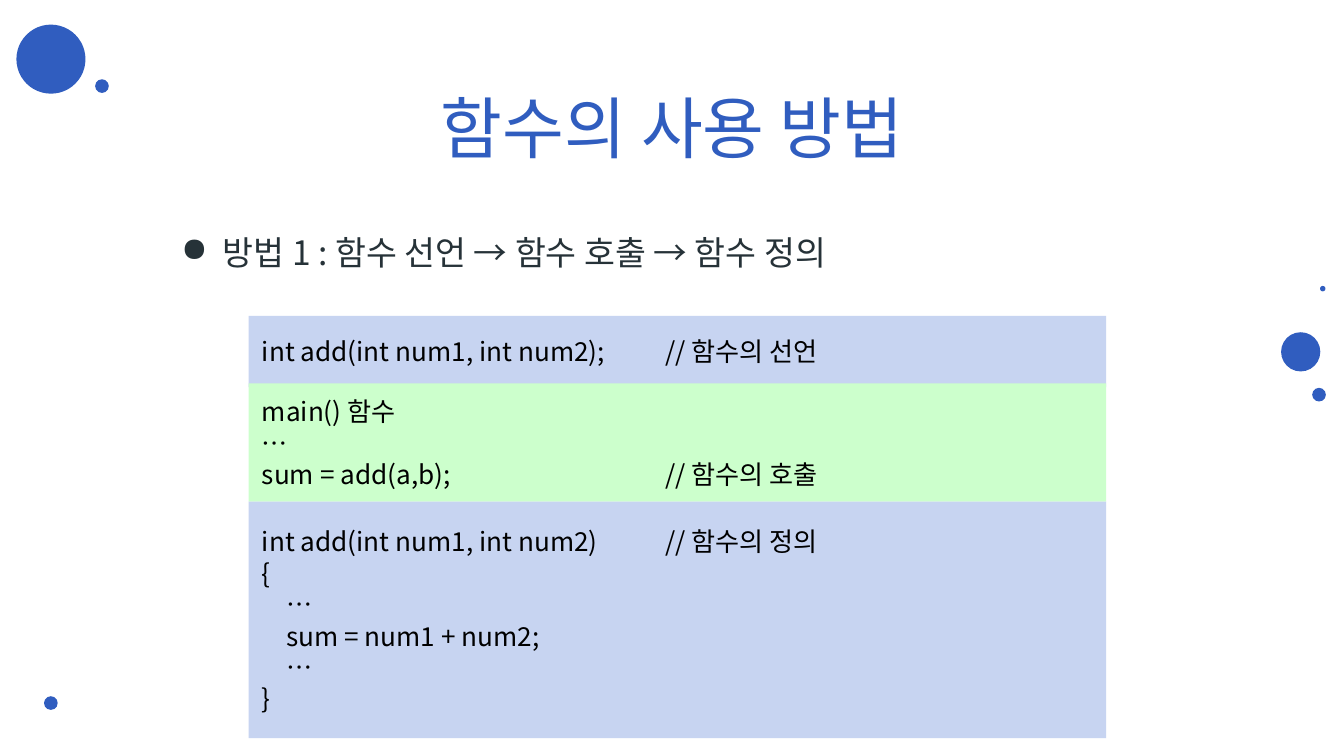
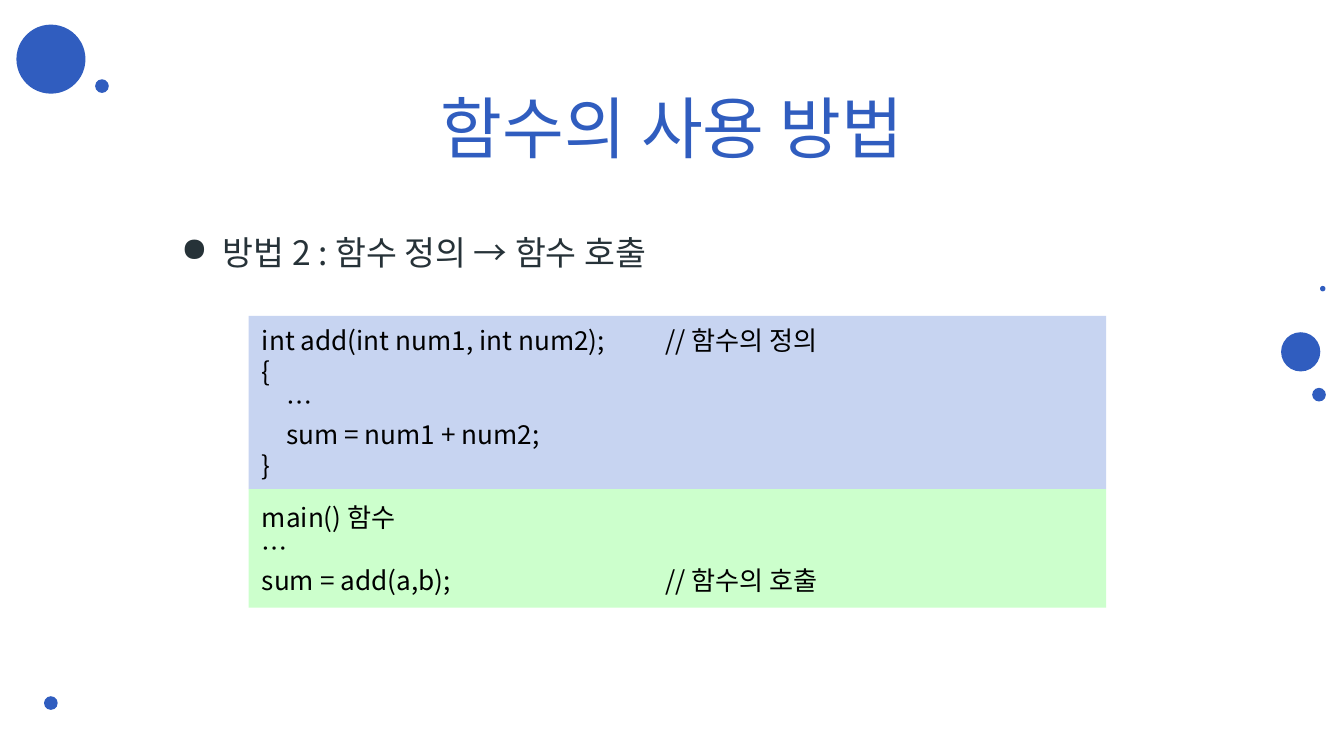
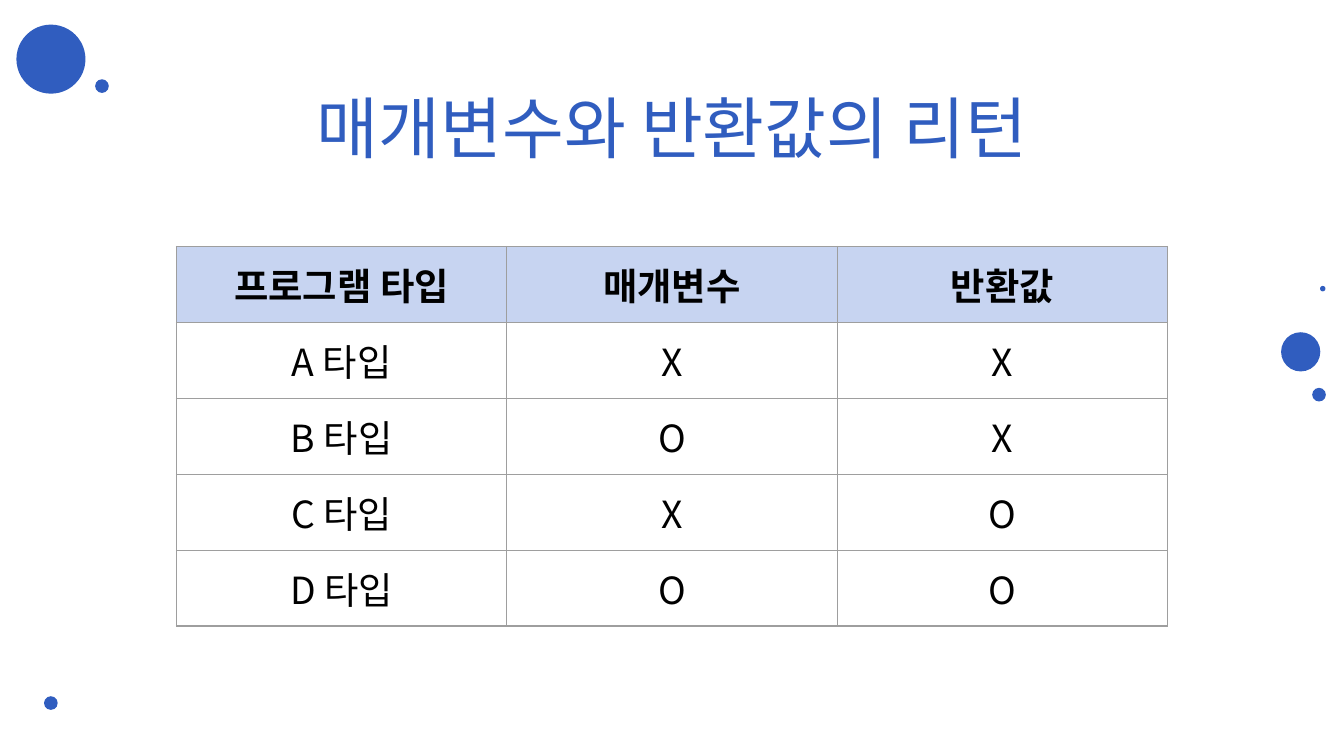
from pptx import Presentation
from pptx.dml.color import RGBColor
from pptx.enum.shapes import MSO_SHAPE as Kind
from pptx.enum.text import MSO_ANCHOR as Anchor, PP_ALIGN as Align
from pptx.oxml import parse_xml
from pptx.oxml.ns import nsdecls, qn
from pptx.util import Pt

FONT = "Noto Sans CJK KR"
BLUE, PALE, GREEN = "305DBF", "C7D4F1", "CCFFCC"
INK, BLACK, GREY = "263238", "000000", "9E9E9E"

# left, top, diameter
DOTS = [
    (8.8, 13.2, 37), (51, 42.5, 7.3), (686.3, 178, 21),
    (703, 207.8, 7.3), (707.2, 153.2, 2.9), (23.6, 373, 7.3),
]
CODE_LEFT, CODE_TOP, CODE_WIDTH = 133.2, 169.2, 459.4
LINE = 16.8

CALL = ["main() 함수", "…", "sum = add(a,b);\t\t// 함수의 호출"]


def color(code):
    return RGBColor.from_string(code)


def node(xml):
    """Parse one drawing element, adding the namespace to its tag."""
    tag = xml[1:].split(" ")[0].split(">")[0].rstrip("/")
    return parse_xml(xml.replace(tag, f"{tag} {nsdecls('a')}", 1))


def style(para, size, ink, bold=False, align=Align.LEFT, pitch=None):
    para.alignment = align
    if pitch:
        para.line_spacing = Pt(pitch)
    font = para.font
    font.name, font.size, font.bold = FONT, Pt(size), bold
    font.color.rgb = color(ink)
    para._p.pPr.find(qn("a:defRPr")).append(node(f'<a:ea typeface="{FONT}"/>'))


def add_props(para, *parts):
    """Put paragraph properties ahead of the font, in schema order."""
    last = para._p.pPr.find(qn("a:defRPr"))
    for part in parts:
        last.addprevious(node(part))


def add_shape(slide, kind, left, top, width, height, fill):
    shape = slide.shapes.add_shape(kind, Pt(left), Pt(top), Pt(width), Pt(height))
    shape.shadow.inherit = False
    shape.fill.solid()
    shape.fill.fore_color.rgb = color(fill)
    shape.line.fill.background()
    return shape


def add_text(slide, top, height, text):
    frame = slide.shapes.add_textbox(Pt(54), Pt(top), Pt(612), Pt(height)).text_frame
    frame.word_wrap = True
    frame.margin_left = frame.margin_right = Pt(7.2)
    frame.margin_top = frame.margin_bottom = Pt(7.2)
    para = frame.paragraphs[0]
    para.text = text
    return para


def add_slide(deck, title):
    """Start a slide with the shared dots and title."""
    slide = deck.slides.add_slide(deck.slide_layouts[6])
    for left, top, size in DOTS:
        add_shape(slide, Kind.OVAL, left, top, size, size, BLUE)
    style(add_text(slide, 35.3, 45.4, title), 36, BLUE, align=Align.CENTER, pitch=47)
    return slide


def add_bullet(slide, text):
    para = add_text(slide, 116.6, 253.4, text)
    style(para, 18, INK, pitch=22)
    props = para._p.pPr
    props.set("marL", str(Pt(58.3)))
    props.set("indent", str(-Pt(22.3)))
    add_props(
        para,
        f'<a:buClr><a:srgbClr val="{INK}"/></a:buClr>',
        '<a:buChar char="●"/>',
    )


def add_code(slide, top, height, fill, lines):
    """Draw a code band; lines between braces are indented."""
    band = add_shape(slide, Kind.RECTANGLE, CODE_LEFT, top, CODE_WIDTH, height, fill)
    frame = band.text_frame
    frame.word_wrap = True
    frame.vertical_anchor = Anchor.MIDDLE
    inside = False
    for i, line in enumerate(lines):
        para = frame.add_paragraph() if i else frame.paragraphs[0]
        para.add_run().text = line
        style(para, 14, BLACK, pitch=LINE)
        if "\t" in line:
            stops = "".join(f'<a:tab pos="{Pt(x)}" algn="l"/>' for x in (144, 216))
            add_props(para, f"<a:tabLst>{stops}</a:tabLst>")
        inside = inside and line != "}"
        if inside:
            para._p.pPr.set("marL", str(Pt(13)))
        inside = inside or line == "{"


def add_border(cell):
    props = cell._tc.get_or_add_tcPr()
    for i, side in enumerate("LRTB"):
        props.insert(i, node(
            f'<a:ln{side} w="{Pt(0.75)}"><a:solidFill><a:srgbClr val="{GREY}"/>'
            f"</a:solidFill></a:ln{side}>"
        ))


def add_grid(slide, rows):
    count, wide = len(rows), len(rows[0])
    table = slide.shapes.add_table(
        count, wide, Pt(94.5), Pt(132), Pt(531), Pt(203.5)
    ).table
    table.first_row = table.horz_banding = False
    for r, row in enumerate(rows):
        for c, text in enumerate(row):
            cell = table.cell(r, c)
            cell.vertical_anchor = Anchor.MIDDLE
            if r == 0:
                cell.fill.solid()
                cell.fill.fore_color.rgb = color(PALE)
            else:
                cell.fill.background()
            add_border(cell)
            para = cell.text_frame.paragraphs[0]
            para.text = text
            style(para, 20, BLACK, bold=r == 0, align=Align.CENTER)


def main():
    deck = Presentation()
    deck.slide_width, deck.slide_height = Pt(720), Pt(405)

    slide = add_slide(deck, "함수의 사용 방법")
    add_bullet(slide, "방법 1 : 함수 선언 → 함수 호출 → 함수 정의")
    add_code(slide, CODE_TOP, 38.2, PALE,
             ["int add(int num1, int num2);\t// 함수의 선언"])
    add_code(slide, 205.4, 63.4, GREEN, CALL)
    add_code(slide, 268.8, 126.7, PALE, [
        "int add(int num1, int num2)\t// 함수의 정의",
        "{", "…", "sum = num1 + num2;", "…", "}",
    ])

    slide = add_slide(deck, "함수의 사용 방법")
    add_bullet(slide, "방법 2 : 함수 정의 → 함수 호출")
    add_code(slide, CODE_TOP, 92.9, PALE, [
        "int add(int num1, int num2);\t// 함수의 정의",
        "{", "…", "sum = num1 + num2;", "}",
    ])
    add_code(slide, 262.1, 63.4, GREEN, CALL)

    slide = add_slide(deck, "매개변수와 반환값의 리턴")
    add_grid(slide, [
        ("프로그램 타입", "매개변수", "반환값"),
        ("A 타입", "X", "X"),
        ("B 타입", "O", "X"),
        ("C 타입", "X", "O"),
        ("D 타입", "O", "O"),
    ])
    deck.save("out.pptx")


if __name__ == "__main__":
    main()
